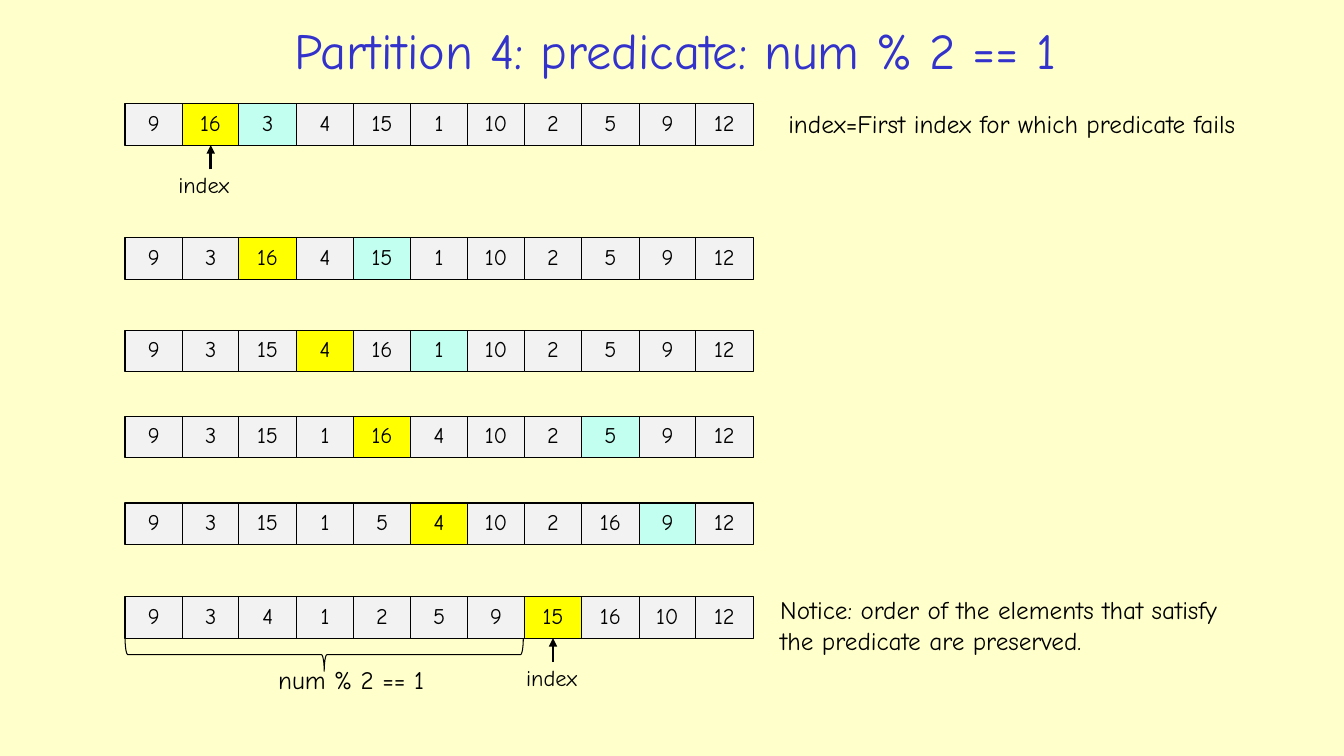
from lxml import etree
from pptx import Presentation
from pptx import util as u
from pptx.dml.color import RGBColor
from pptx.enum import shapes, text
from pptx.oxml import ns

PX = 9144
FONT = "Comic Neue"
INK, TITLE, PAPER = "000000", "3333CC", "FFFFCC"
PLAIN, FAILING, NEXT_MATCH = "F2F2F2", "FFFF00", "C2FFF0"
ROW_LEFT, ROW_WIDTH, ROW_HEIGHT = 124, 623, 41
STEPS = [
    (103, [9, 16, 3, 4, 15, 1, 10, 2, 5, 9, 12], 1, 2),
    (236, [9, 3, 16, 4, 15, 1, 10, 2, 5, 9, 12], 2, 4),
    (328, [9, 3, 15, 4, 16, 1, 10, 2, 5, 9, 12], 3, 5),
    (413, [9, 3, 15, 1, 16, 4, 10, 2, 5, 9, 12], 4, 8),
    (499, [9, 3, 15, 1, 5, 4, 10, 2, 16, 9, 12], 5, 9),
    (592, [9, 3, 4, 1, 2, 5, 9, 15, 16, 10, 12], 7, None),
]


def px(*lengths):
    """Turn px lengths into EMU."""
    return [u.Emu(length * PX) for length in lengths]


def color(code):
    """Turn a hex string into a colour."""
    return RGBColor.from_string(code)


def write(frame, wording, size, ink=INK, align=text.PP_ALIGN.LEFT):
    """Fill a text frame, one paragraph for each line."""
    frame.text = wording
    for paragraph in frame.paragraphs:
        paragraph.alignment = align
        paragraph.font.name = FONT
        paragraph.font.size = u.Pt(size)
        paragraph.font.color.rgb = color(ink)


def add_title(slide, box, wording):
    """Place the centred slide title."""
    frame = slide.shapes.add_textbox(*px(*box)).text_frame
    frame.word_wrap = True
    frame.vertical_anchor = text.MSO_ANCHOR.MIDDLE
    write(frame, wording, 36, TITLE, text.PP_ALIGN.CENTER)


def add_note(slide, box, wording, size=18):
    """Place a left-aligned remark or label."""
    frame = slide.shapes.add_textbox(*px(*box)).text_frame
    frame.word_wrap = False
    frame.auto_size = text.MSO_AUTO_SIZE.SHAPE_TO_FIT_TEXT
    write(frame, wording, size)


def add_row(slide, box, numbers, failing, next_match):
    """Draw one state of the array and return its cells."""
    left, top, width, height = box
    row = slide.shapes.add_group_shape()
    edges = [left + round(width * i / len(numbers)) for i in range(len(numbers) + 1)]
    fills = {failing: FAILING, next_match: NEXT_MATCH}
    cells = []
    for i, number in enumerate(numbers):
        cell = row.shapes.add_shape(
            shapes.MSO_SHAPE.RECTANGLE,
            *px(edges[i], top, edges[i + 1] - edges[i], height))
        cell.shadow.inherit = False
        cell.fill.solid()
        cell.fill.fore_color.rgb = color(fills.get(i, PLAIN))
        cell.line.color.rgb = color(INK)
        cell.line.width = u.Pt(0.75)
        cell.text_frame.vertical_anchor = text.MSO_ANCHOR.TOP
        write(cell.text_frame, str(number), 16, align=text.PP_ALIGN.CENTER)
        cells.append(cell)
    return cells


def add_index(slide, cell, label_box):
    """Point an arrow up at a cell and label it."""
    middle, bottom = cell.left + cell.width // 2, cell.top + cell.height
    arrow = slide.shapes.add_connector(
        shapes.MSO_CONNECTOR.STRAIGHT, middle, bottom + 24 * PX, middle, bottom)
    arrow.end_connect(cell, 2)
    arrow.line.color.rgb = color(INK)
    arrow.line.width = u.Pt(2)
    etree.SubElement(arrow.line._get_or_add_ln(), ns.qn("a:tailEnd"), type="triangle")
    etree.SubElement(arrow._element.spPr, ns.qn("a:effectLst"))
    add_note(slide, label_box, "index", 16)


def add_brace(slide, box):
    """Draw a brace that opens upward and fills the box."""
    left, top, width, height = box
    inset = (width - height) // 2
    brace = slide.shapes.add_shape(
        shapes.MSO_SHAPE.RIGHT_BRACE,
        *px(left + inset, top - inset, height, width))
    brace.rotation = 90
    brace.shadow.inherit = False
    brace.fill.background()
    brace.line.color.rgb = color(INK)
    brace.line.width = u.Pt(0.75)


def add_partition(slide):
    """Lay out the title, the partition steps and their remarks."""
    add_title(slide, (193, 11, 954, 76), "Partition 4: predicate: num % 2 == 1")
    rows = [
        add_row(slide, (ROW_LEFT, top, ROW_WIDTH, ROW_HEIGHT), numbers, failing, next_match)
        for top, numbers, failing, next_match in STEPS
    ]
    add_index(slide, rows[0][1], (167, 165, 77, 37))
    add_index(slide, rows[-1][7], (512, 654, 77, 37))
    add_brace(slide, (ROW_LEFT, 633, 395, 33))
    add_note(slide, (266, 654, 169, 40), "num % 2 == 1")
    add_note(slide, (772, 103, 533, 40), "index=First index for which predicate fails")
    add_note(slide, (764, 585, 538, 71),
             "Notice: order of the elements that satisfy\nthe predicate are preserved.")


def main():
    """Build and save the presentation."""
    deck = Presentation()
    deck.slide_width, deck.slide_height = px(1333, 750)
    slide = deck.slides.add_slide(deck.slide_layouts[6])
    slide.background.fill.solid()
    slide.background.fill.fore_color.rgb = color(PAPER)
    add_partition(slide)
    deck.save("out.pptx")


if __name__ == "__main__":
    main()
